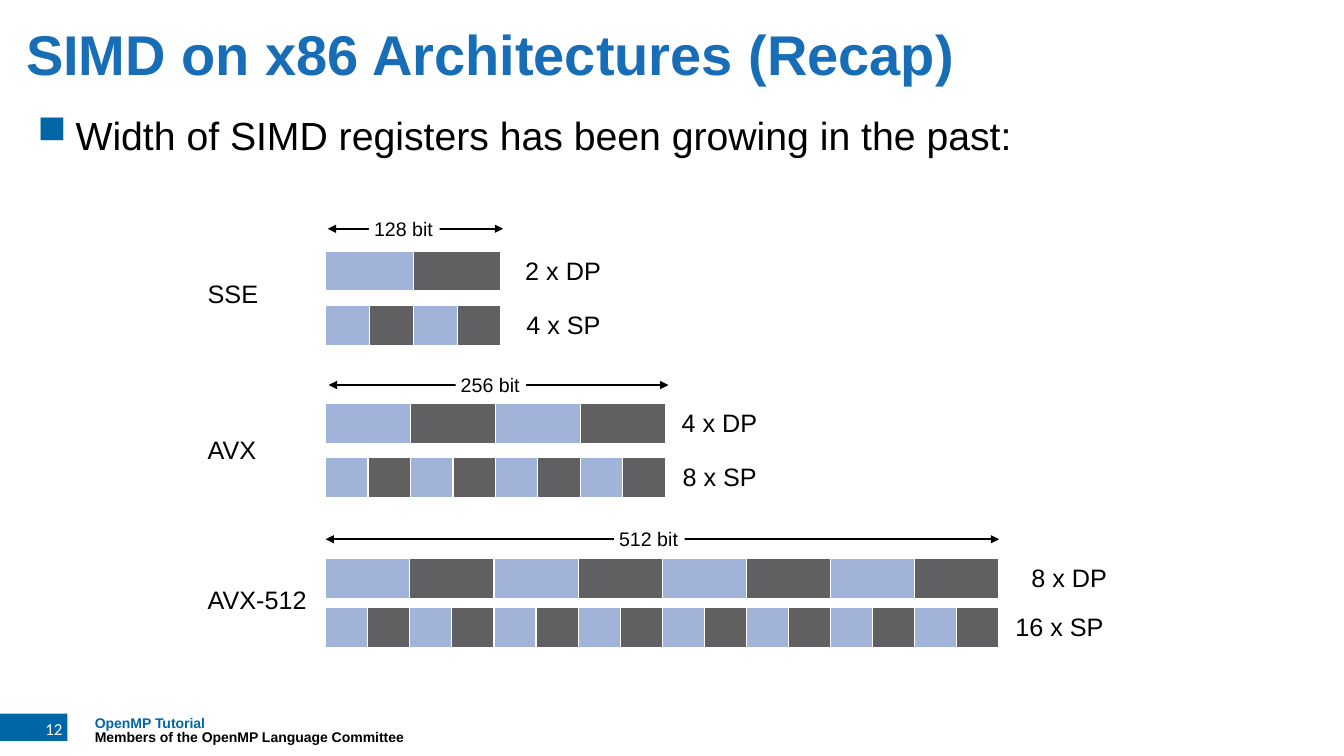
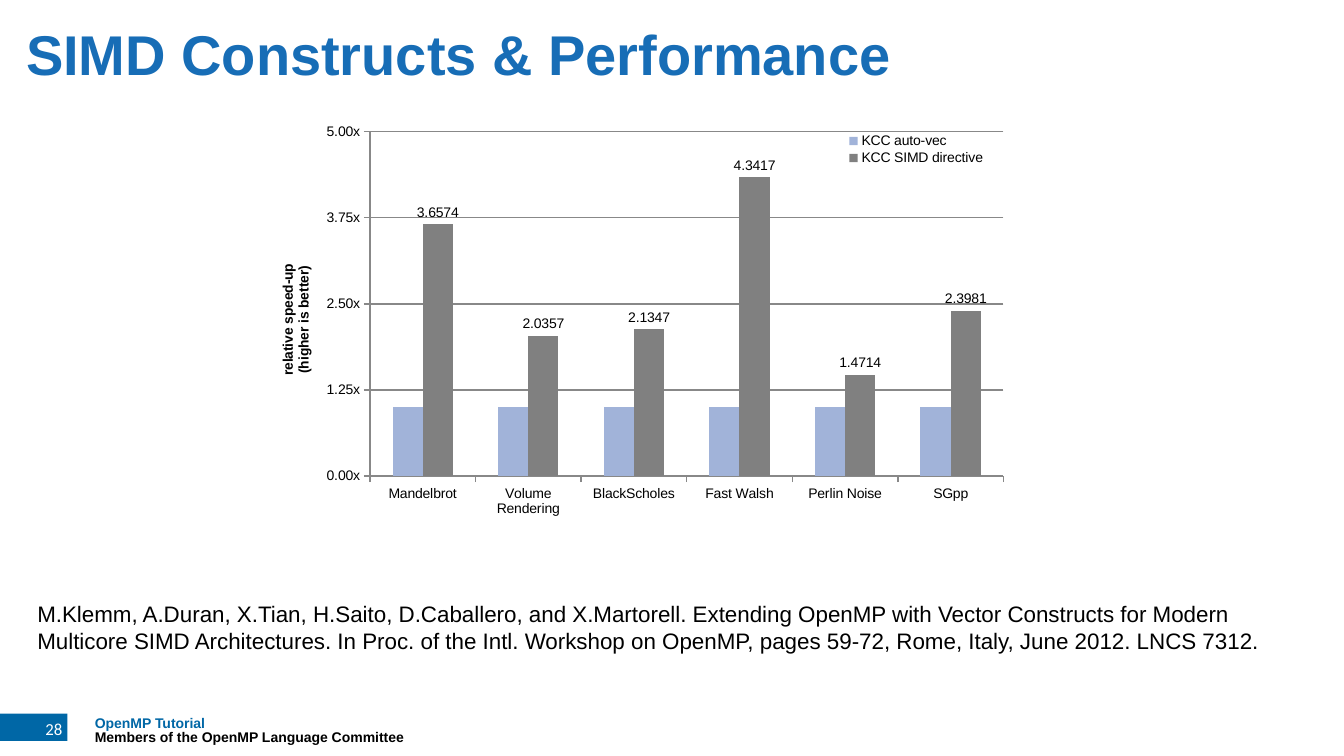
from dataclasses import dataclass

import lxml.etree
import pptx
import pptx.chart.data
import pptx.dml.color
import pptx.enum.chart
import pptx.enum.shapes
import pptx.enum.text
import pptx.oxml.ns
import pptx.util

Inches = pptx.util.Inches
Pt = pptx.util.Pt
qn = pptx.oxml.ns.qn


@dataclass(frozen=True)
class Theme:
    font: str = "Arial"
    number_font: str = "Calibri"
    title_blue: str = "176DB6"
    accent: str = "0067A6"
    ink: str = "000000"
    paper: str = "FFFFFF"
    light_lane: str = "A1B3D9"
    dark_lane: str = "606062"
    dark_bar: str = "808080"
    axis: str = "888888"
    title_size: int = 40
    body_size: int = 28
    label_size: int = 18
    citation_size: int = 16
    bits_size: int = 14
    number_size: int = 12
    small_size: int = 10


@dataclass(frozen=True)
class Register:
    name: str
    bits: int
    width: float
    name_top: float
    arrow_left: float
    arrow_top: float
    bits_left: float
    lanes: tuple


LANE_LEFT = 3.23
LANE_HEIGHT = 0.41
REGISTERS = (
    Register("SSE", 128, 1.74, 2.71, 3.25, 2.27, 3.66,
             (("DP", 2, 2.49, 5.16), ("SP", 4, 3.03, 5.17))),
    Register("AVX", 256, 3.37, 4.26, 3.26, 3.82, 4.52,
             (("DP", 4, 4, 6.71), ("SP", 8, 4.54, 6.72))),
    Register("AVX-512", 512, 6.68, 5.75, 3.23, 5.35, 6.09,
             (("DP", 8, 5.54, 10.18), ("SP", 16, 6.03, 10.02))),
)

BENCHMARKS = ("Mandelbrot", "Volume Rendering", "BlackScholes",
              "Fast Walsh", "Perlin Noise", "SGpp")
AUTO_SPEEDUPS = (1,) * len(BENCHMARKS)
SIMD_SPEEDUPS = (3.6574, 2.0357, 2.1347, 4.3417, 1.4714, 2.3981)
CITATION = (
    "M.Klemm, A.Duran, X.Tian, H.Saito, D.Caballero, and X.Martorell. "
    "Extending OpenMP with Vector Constructs for Modern Multicore SIMD "
    "Architectures. In Proc. of the Intl. Workshop on OpenMP, pages 59-72, "
    "Rome, Italy, June 2012. LNCS 7312."
)


def rgb(color):
    return pptx.dml.color.RGBColor.from_string(color)


def paint(fill, color):
    fill.solid()
    fill.fore_color.rgb = rgb(color)


def add_element(parent, tag, **attributes):
    return lxml.etree.SubElement(parent, qn(tag), attributes)


def place_in_chart(parent, index, left, top, width, height, inner=False):
    for former in parent.findall(qn("c:layout")):
        parent.remove(former)
    layout = lxml.etree.Element(qn("c:layout"))
    manual = add_element(layout, "c:manualLayout")
    if inner:
        add_element(manual, "c:layoutTarget", val="inner")
    settings = {"xMode": "edge", "yMode": "edge",
                "x": left, "y": top, "w": width, "h": height}
    for name, value in settings.items():
        add_element(manual, f"c:{name}", val=str(value))
    parent.insert(index, layout)


class Slides:
    def __init__(self, deck, theme):
        self.deck = deck
        self.theme = theme
        self.page = None

    def start(self, title, number):
        theme = self.theme
        self.page = self.deck.slides.add_slide(self.deck.slide_layouts[6])
        footer = self.text(
            0.94, 7.12, 3.08, 0.28,
            "OpenMP Tutorial\nMembers of the OpenMP Language Committee",
            theme.small_size, bold=True, margin=0)
        for para in footer.paragraphs:
            para.line_spacing = Pt(theme.small_size)
        footer.paragraphs[0].runs[0].font.color.rgb = rgb(theme.accent)
        self.page_number(number)
        heading = self.text(0.26, 0.21, 10.5, 0.71, title, theme.title_size,
                            theme.title_blue, bold=True, margin=0)
        heading.vertical_anchor = pptx.enum.text.MSO_ANCHOR.MIDDLE
        heading.paragraphs[0].line_spacing = 0.9

    def style(self, font, size, color=None, bold=False, name=None):
        font.name = name or self.theme.font
        font.size = Pt(size)
        font.bold = bold
        font.color.rgb = rgb(color or self.theme.ink)

    def set_text(self, frame, text, size, color=None, bold=False, name=None,
                 margin=0.05):
        frame.word_wrap = True
        frame.margin_left = frame.margin_right = Inches(margin)
        frame.margin_top = frame.margin_bottom = Inches(margin)
        frame.vertical_anchor = pptx.enum.text.MSO_ANCHOR.TOP
        frame.text = text
        for para in frame.paragraphs:
            for span in para.runs:
                self.style(span.font, size, color, bold, name)

    def text(self, left, top, width, height, text, size, color=None,
             bold=False, margin=0.05, fill=None):
        box = self.page.shapes.add_textbox(
            Inches(left), Inches(top), Inches(width), Inches(height))
        if fill:
            paint(box.fill, fill)
        self.set_text(box.text_frame, text, size, color, bold, margin=margin)
        return box.text_frame

    def page_number(self, number):
        theme = self.theme
        box = self.page.shapes.add_shape(
            pptx.enum.shapes.MSO_SHAPE.RECTANGLE,
            0, Inches(7.08), Inches(0.67), Inches(0.27))
        box.shadow.inherit = False
        paint(box.fill, theme.accent)
        box.line.fill.background()
        self.set_text(box.text_frame, str(number), theme.number_size,
                      theme.paper, name=theme.number_font)
        box.text_frame.paragraphs[0].alignment = pptx.enum.text.PP_ALIGN.RIGHT

    def bullet(self, text):
        frame = self.text(0.37, 1.1, 12.6, 0.5, text, self.theme.body_size,
                          margin=0)
        properties = frame.paragraphs[0]._p.get_or_add_pPr()
        indent = Inches(0.38)
        properties.set("marL", str(indent))
        properties.set("indent", str(-indent))
        color = add_element(properties, "a:buClr")
        add_element(color, "a:srgbClr", val=self.theme.accent)
        add_element(properties, "a:buChar", char="■")

    def label(self, left, top, text, width=1.09):
        self.text(left, top, width, 0.38, text, self.theme.label_size)

    def double_arrow(self, left, top, width):
        arrow = self.page.shapes.add_connector(
            pptx.enum.shapes.MSO_CONNECTOR.STRAIGHT,
            Inches(left), Inches(top), Inches(left + width), Inches(top))
        arrow.line.color.rgb = rgb(self.theme.ink)
        arrow.line.width = Pt(1.5)
        properties = arrow._element.spPr
        line = properties.find(qn("a:ln"))
        for end in ("a:headEnd", "a:tailEnd"):
            add_element(line, end, type="triangle")
        add_element(properties, "a:effectLst")

    def cell_borders(self, cell):
        properties = cell._tc.get_or_add_tcPr()
        widths = {"a:lnL": 1, "a:lnR": 1, "a:lnT": 1, "a:lnB": 3}
        for index, (side, points) in enumerate(widths.items()):
            border = lxml.etree.Element(qn(side), {"w": str(Pt(points))})
            fill = add_element(border, "a:solidFill")
            add_element(fill, "a:srgbClr", val=self.theme.paper)
            properties.insert(index, border)

    def lane_row(self, top, width, count):
        table = self.page.shapes.add_table(
            1, count, Inches(LANE_LEFT), Inches(top), Inches(width),
            Inches(LANE_HEIGHT)).table
        table.first_row = table.horz_banding = False
        colors = (self.theme.light_lane, self.theme.dark_lane)
        for index, column in enumerate(table.columns):
            column.width = Inches(width / count)
            cell = table.cell(0, index)
            cell.margin_top = cell.margin_bottom = Inches(0.05)
            paint(cell.fill, colors[index % 2])
            self.cell_borders(cell)

    def register(self, register):
        theme = self.theme
        self.label(2.01, register.name_top, register.name)
        self.double_arrow(register.arrow_left, register.arrow_top,
                          register.width)
        bits = self.text(register.bits_left, register.arrow_top - 0.17,
                         0.7, 0.32, f"{register.bits} bit", theme.bits_size,
                         fill=theme.paper)
        bits.word_wrap = False
        for kind, count, top, label_left in register.lanes:
            self.lane_row(top, register.width, count)
            self.label(label_left, top - 0.01, f"{count} x {kind}", 1.26)

    def axis(self, axis):
        axis.major_tick_mark = pptx.enum.chart.XL_TICK_MARK.OUTSIDE
        axis.minor_tick_mark = pptx.enum.chart.XL_TICK_MARK.NONE
        axis.tick_label_position = pptx.enum.chart.XL_TICK_LABEL_POSITION.LOW
        self.style(axis.tick_labels.font, self.theme.small_size)
        self.rule(axis.format.line)

    def rule(self, line):
        line.color.rgb = rgb(self.theme.axis)
        line.width = Pt(1)

    def speedup_chart(self):
        theme = self.theme
        data = pptx.chart.data.CategoryChartData()
        data.categories = BENCHMARKS
        data.add_series("KCC auto-vec", AUTO_SPEEDUPS)
        data.add_series("KCC SIMD directive", SIMD_SPEEDUPS)
        chart = self.page.shapes.add_chart(
            pptx.enum.chart.XL_CHART_TYPE.COLUMN_CLUSTERED,
            Inches(2.73), Inches(1.15), Inches(7.23), Inches(3.98), data).chart
        chart.has_title = False
        self.style(chart.font, theme.small_size)
        plot = chart.plots[0]
        plot.gap_width = 150
        plot.overlap = 0
        plot.vary_by_categories = False
        for series, color in zip(plot.series, (theme.light_lane, theme.dark_bar)):
            paint(series.format.fill, color)
        labels = plot.series[1].data_labels
        labels.show_value = True
        labels.position = pptx.enum.chart.XL_LABEL_POSITION.OUTSIDE_END
        labels.number_format = "0.####"
        labels.number_format_is_linked = False
        self.style(labels.font, theme.small_size)

        self.axis(chart.category_axis)
        speedup = chart.value_axis
        self.axis(speedup)
        speedup.minimum_scale = 0
        speedup.maximum_scale = 5
        speedup.major_unit = 1.25
        speedup.tick_labels.number_format = '0.00"x"'
        speedup.tick_labels.number_format_is_linked = False
        speedup.has_major_gridlines = True
        self.rule(speedup.major_gridlines.format.line)
        frame = speedup.axis_title.text_frame
        frame.text = "relative speed-up\n(higher is better)"
        frame._txBody.bodyPr.set("rot", "-5400000")
        for para in frame.paragraphs:
            self.style(para.runs[0].font, theme.small_size, bold=True)

        chart.has_legend = True
        legend = chart.legend
        legend.position = pptx.enum.chart.XL_LEGEND_POSITION.RIGHT
        legend.include_in_layout = True
        self.style(legend.font, theme.small_size)
        place_in_chart(legend._element, 1, 0.78, 0.04, 0.2, 0.09)
        plot_area = chart._chartSpace.chart.plotArea
        place_in_chart(plot_area, 0, 0.13, 0.04, 0.87, 0.87, inner=True)


def main():
    deck = pptx.Presentation()
    deck.slide_width = Inches(13.33)
    deck.slide_height = Inches(7.5)
    slides = Slides(deck, Theme())

    slides.start("SIMD on x86 Architectures (Recap)", 12)
    slides.bullet("Width of SIMD registers has been growing in the past:")
    for register in REGISTERS:
        slides.register(register)

    slides.start("SIMD Constructs & Performance", 28)
    slides.speedup_chart()
    slides.text(0.37, 5.95, 12.6, 0.55, CITATION, slides.theme.citation_size,
                margin=0)

    deck.save("out.pptx")


if __name__ == "__main__":
    main()
